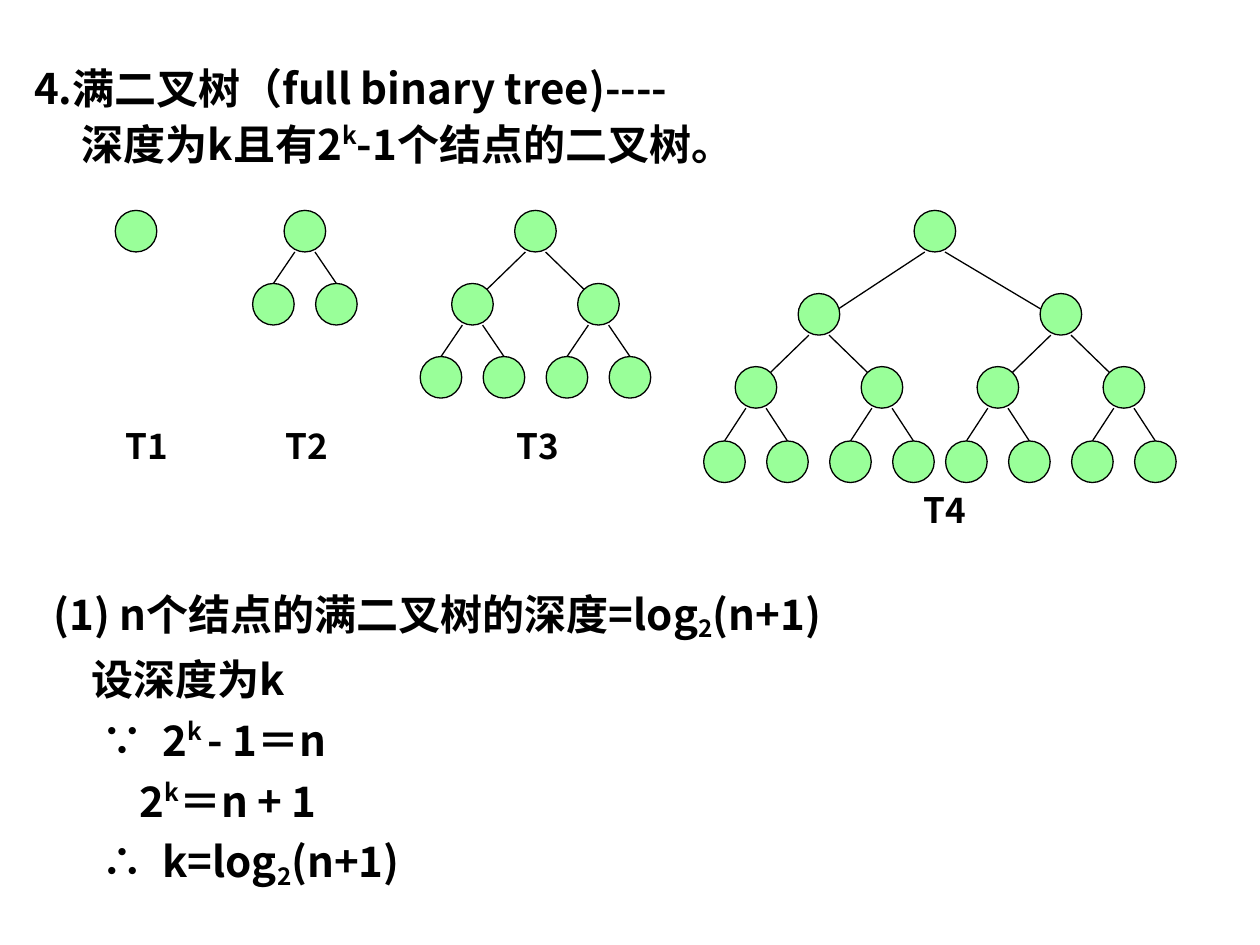
"""Builds the slide that defines full binary trees and derives their depth."""
from lxml.etree import SubElement
from pptx import Presentation
from pptx.dml.color import RGBColor
from pptx.enum.shapes import MSO_CONNECTOR, MSO_SHAPE
from pptx.enum.text import MSO_ANCHOR, MSO_AUTO_SIZE
from pptx.oxml.ns import qn
from pptx.util import Inches, Pt

BLACK = RGBColor(0x00, 0x00, 0x00)
NODE_GREEN = RGBColor(0x99, 0xFF, 0x99)
FONT_NAME = "Noto Sans CJK SC"
SUPERSCRIPT, SUBSCRIPT = 38000, -18000
NODE_SIZE = 0.33
EDGE_OFFSET = 0.08

HEADING_LINES = [
    (0.38, -0.38, [("4.满二叉树（full binary tree)----", 0)]),
    (0.38, 0, [("深度为k且有2", 0), ("k", SUPERSCRIPT), ("-1个结点的二叉树。", 0)]),
]
PROOF_LINES = [
    (0, 0, [("(1) n个结点的满二叉树的深度=log", 0), ("2", SUBSCRIPT), ("(n+1)", 0)]),
    (0.3, 0, [("设深度为k", 0)]),
    (0.86, -0.48, [("∵\t2", 0), ("k ", SUPERSCRIPT), ("- 1＝n", 0)]),
    (0.68, 0, [("2", 0), ("k", SUPERSCRIPT), ("＝n + 1", 0)]),
    (0.86, -0.48, [("∴\tk=log", 0), ("2", SUBSCRIPT), ("(n+1)", 0)]),
]

LEAF_BRANCH = (0.25, 0.25, 0)
INNER_BRANCH = (0.5, 0.5, 0.08)
WIDE_BRANCH = (0.92, 1.0, 0.17)
TREES = [
    ("T1", 0.9, 3.32, 1.08, [1.67], []),
    ("T2", 2.17, 3.32, 2.42, [1.67, 2.25], [LEAF_BRANCH]),
    ("T3", 4.0, 3.32, 4.25, [1.67, 2.25, 2.83], [INNER_BRANCH, LEAF_BRANCH]),
    ("T4", 7.23, 3.83, 7.42, [1.67, 2.33, 2.91, 3.5],
     [WIDE_BRANCH, INNER_BRANCH, LEAF_BRANCH]),
]


def write_lines(text_frame, lines, size, line_spacing=1.0):
    frame_format = {
        "word_wrap": True,
        "auto_size": MSO_AUTO_SIZE.NONE,
        "vertical_anchor": MSO_ANCHOR.TOP,
    }
    for attribute, value in frame_format.items():
        setattr(text_frame, attribute, value)
    for index, (margin, indent, pieces) in enumerate(lines):
        paragraph = text_frame.add_paragraph() if index else text_frame.paragraphs[0]
        properties = paragraph._p.get_or_add_pPr()
        properties.set("marL", str(Inches(margin)))
        properties.set("indent", str(Inches(indent)))
        SubElement(properties, qn("a:buNone"))
        tabs = SubElement(properties, qn("a:tabLst"))
        SubElement(tabs, qn("a:tab"), pos=str(Inches(margin)), algn="l")
        paragraph.line_spacing = line_spacing
        paragraph.space_before = Pt(6 if index else 0)
        for text, baseline in pieces:
            run = paragraph.add_run()
            run.text = text
            run_format = {"name": FONT_NAME, "size": Pt(size), "bold": True}
            for attribute, value in run_format.items():
                setattr(run.font, attribute, value)
            run.font.color.rgb = BLACK
            run_properties = run._r.get_or_add_rPr()
            SubElement(run_properties, qn("a:ea"), typeface=FONT_NAME)
            if baseline:
                run_properties.set("baseline", str(baseline))


def outline(shape):
    shape.line.color.rgb = BLACK
    shape.line.width = Pt(0.75)


presentation = Presentation()
presentation.slide_width = Inches(10)
presentation.slide_height = Inches(7.5)
slide = presentation.slides.add_slide(presentation.slide_layouts[1])
title = slide.shapes.title
title._element.getparent().remove(title._element)

body = slide.placeholders[1]
body_position = {"left": 0.17, "top": 0.49, "width": 7.04, "height": 0.98}
for attribute, value in body_position.items():
    setattr(body, attribute, Inches(value))
write_lines(body.text_frame, HEADING_LINES, 24, 0.9)

for label, label_left, label_top, root, tops, branches in TREES:
    rows = [[root]]
    for depth, (left_reach, right_reach, drop) in enumerate(branches):
        children = []
        for parent in rows[-1]:
            for side, reach in ((-1, left_reach), (1, right_reach)):
                child = parent + side * reach
                children.append(child)
                end_offset = EDGE_OFFSET if drop else 0
                edge = slide.shapes.add_connector(
                    MSO_CONNECTOR.STRAIGHT,
                    Inches(parent + side * EDGE_OFFSET),
                    Inches(tops[depth] + NODE_SIZE),
                    Inches(child - side * end_offset),
                    Inches(tops[depth + 1] + drop),
                )
                outline(edge)
                SubElement(edge._element.spPr, qn("a:effectLst"))
        rows.append(children)

    for top, centers in zip(tops, rows):
        for center in centers:
            node = slide.shapes.add_shape(
                MSO_SHAPE.OVAL, Inches(center - NODE_SIZE / 2), Inches(top),
                Inches(NODE_SIZE), Inches(NODE_SIZE))
            node.shadow.inherit = False
            node.fill.solid()
            node.fill.fore_color.rgb = NODE_GREEN
            outline(node)

    label_box = slide.shapes.add_textbox(
        Inches(label_left), Inches(label_top), Inches(0.68), Inches(0.44))
    write_lines(label_box.text_frame, [(0, 0, [(label, 0)])], 20)

proof_box = slide.shapes.add_textbox(Inches(0.33), Inches(4.62), Inches(7.5), Inches(2.5))
write_lines(proof_box.text_frame, PROOF_LINES, 24)

presentation.save("out.pptx")
